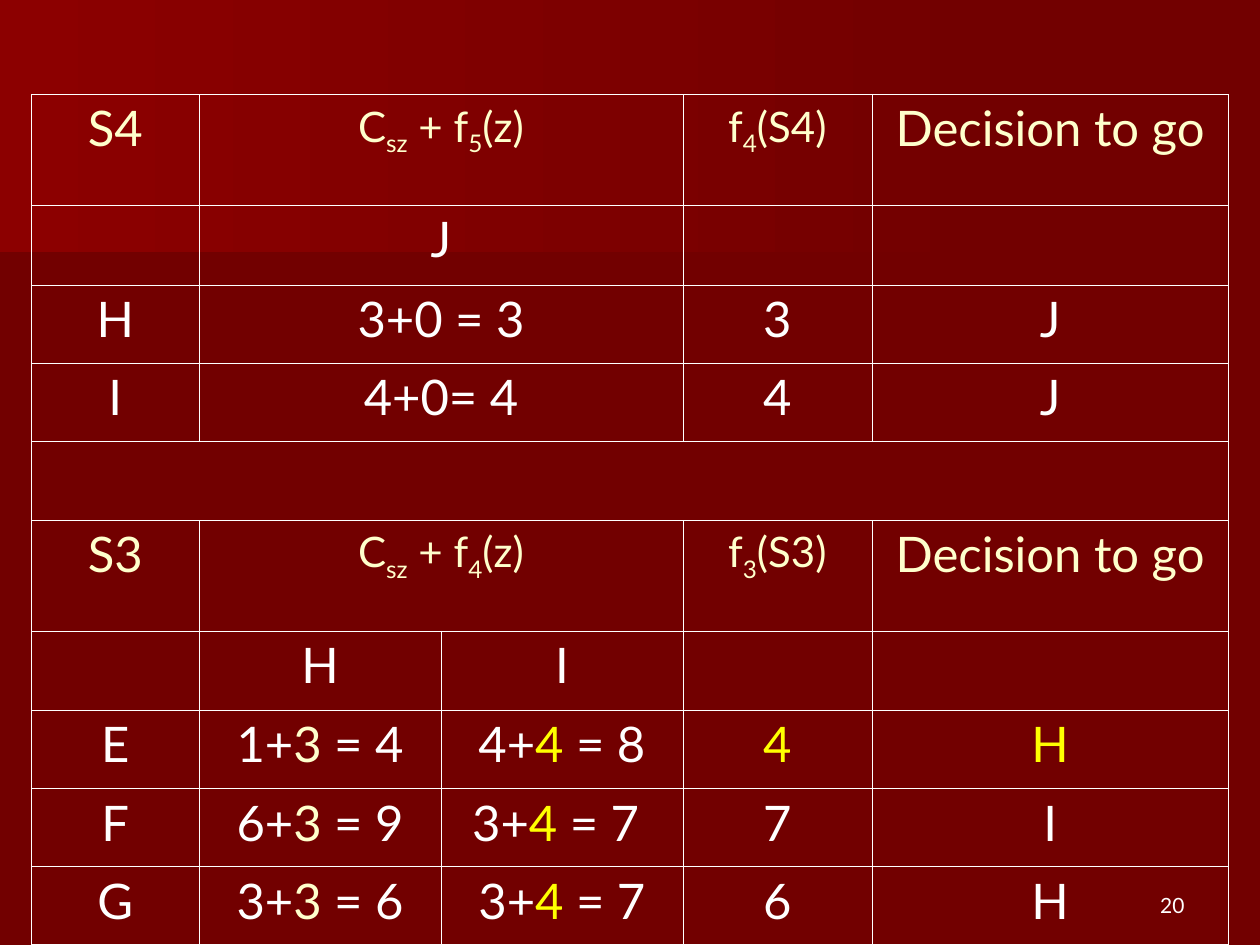
"""Builds a slide with the stage 4 and stage 3 tables of a dynamic programme."""
import dataclasses

import lxml.etree
import pptx
import pptx.dml.color
import pptx.enum.text
import pptx.oxml.ns
import pptx.util


@dataclasses.dataclass(frozen=True)
class Theme:
    """Colours, type sizes and line widths of the deck."""
    font: str = "Lato"
    ground: str = "720000"
    glow: str = "8C0000"
    shade: str = "6B0000"
    body: str = "FFFFFF"
    head: str = "FFFFCC"
    accent: str = "FFFF00"
    body_size: int = 28
    formula_size: int = 24
    number_size: int = 12
    outer_line: float = 0.5
    inner_line: float = 0.23


THEME = Theme()
WIDTH, HEIGHT = 10, 7.5
COLUMNS = [1.33, 1.92, 1.92, 1.5, 2.83]
HEAD_ROW, LABEL_ROW, VALUE_ROW = 0.88, 0.63, 0.62


def rgb(value):
    """Turn a hex string into a colour."""
    return pptx.dml.color.RGBColor.from_string(value)


def inches(*lengths):
    """Turn lengths in inches into slide units."""
    return [pptx.util.Inches(length) for length in lengths]


def add_text(para, text, color=THEME.body, size=THEME.body_size, lowered=False):
    """Add one formatted span to a paragraph."""
    span = para.add_run()
    span.text = text
    span.font.name = THEME.font
    span.font.size = pptx.util.Pt(size)
    span.font.color.rgb = rgb(color)
    if lowered:
        span.font._element.set("baseline", "-25000")


def plain(text, color=THEME.body):
    """Describe a cell with one span."""
    return [(text, {"color": color})]


def formula(*parts):
    """Describe a heading whose every second part is a subscript."""
    return [(part, {"color": THEME.head, "size": THEME.formula_size, "lowered": place % 2 == 1})
            for place, part in enumerate(parts)]


def total(cost, onward, result, color):
    """Describe a sum whose onward cost is coloured."""
    return plain(f"{cost}+") + plain(onward, color) + plain(f" = {result}")


def heading(stage):
    """Describe the heading row of a stage."""
    return [plain(f"S{stage}", THEME.head), formula("C", "sz", " + f", str(stage + 1), "(z)"), None,
            formula("f", str(stage), f"(S{stage})"), plain("Decision to go", THEME.head)]


def via_j(state, cost_sum, best):
    """Describe a stage 4 row, which always leads to J."""
    return [plain(state), plain(cost_sum), None, plain(best), plain("J")]


def via_h_or_i(state, h_sum, i_sum, best, choice, color=THEME.body):
    """Describe a stage 3 row, which leads to H or I."""
    return [plain(state), total(h_sum[0], "3", h_sum[1], THEME.head),
            total(i_sum[0], "4", i_sum[1], THEME.accent), plain(best, color), plain(choice, color)]


ROWS = [
    (HEAD_ROW, heading(4)),
    (LABEL_ROW, [[], plain("J"), None, [], []]),
    (VALUE_ROW, via_j("H", "3+0 = 3", "3")),
    (VALUE_ROW, via_j("I", "4+0= 4", "4")),
    (LABEL_ROW, [[], None, None, None, None]),
    (HEAD_ROW, heading(3)),
    (LABEL_ROW, [[], plain("H"), plain("I"), [], []]),
    (VALUE_ROW, via_h_or_i("E", ("1", "4"), ("4", "8"), "4", "H", THEME.accent)),
    (VALUE_ROW, via_h_or_i("F", ("6", "9"), ("3", "7 "), "7", "I")),
    (VALUE_ROW, via_h_or_i("G", ("3", "6"), ("3", "7"), "6", "H")),
]


def set_borders(cell, outer_sides):
    """Draw the four borders of a cell, heavier on the table's outer sides."""
    properties = cell._tc.get_or_add_tcPr()
    for side in "LRTB":
        points = THEME.outer_line if side in outer_sides else THEME.inner_line
        line = lxml.etree.SubElement(properties, pptx.oxml.ns.qn(f"a:ln{side}"),
                                     w=str(pptx.util.Pt(points)))
        solid = lxml.etree.SubElement(line, pptx.oxml.ns.qn("a:solidFill"))
        lxml.etree.SubElement(solid, pptx.oxml.ns.qn("a:srgbClr"), val=THEME.body)


def add_band(page, box, edge, start_color):
    """Fill a box down to a slanted lower edge, fading to the ground colour."""
    left, top, width, height = box
    corners = [(left + x * width, top + y * height) for x, y in [(1, edge), (0, 1), (0, 0), (1, 0)]]
    builder = page.shapes.build_freeform(*corners[0], scale=pptx.util.Inches(1))
    builder.add_line_segments(corners[1:], close=True)
    band = builder.convert_to_shape()
    band.shadow.inherit = False
    band.line.fill.background()
    band.fill.gradient()
    band.fill.gradient_angle = 0
    for stop, color in zip(band.fill.gradient_stops, (start_color, THEME.ground)):
        stop.color.rgb = rgb(color)


def add_page_number(page, box, text):
    """Place the page number at the lower right of a box."""
    frame = page.shapes.add_textbox(*inches(*box)).text_frame
    frame.word_wrap = True
    frame.vertical_anchor = pptx.enum.text.MSO_ANCHOR.BOTTOM
    para = frame.paragraphs[0]
    para.alignment = pptx.enum.text.PP_ALIGN.RIGHT
    add_text(para, text, size=THEME.number_size)


def add_stage_table(page, box):
    """Place the stages in a box, joining a cell with the None cells after it."""
    table = page.shapes.add_table(len(ROWS), len(COLUMNS), *inches(*box)).table
    table.first_row = table.horz_banding = False
    for column, width in zip(table.columns, COLUMNS):
        column.width = pptx.util.Inches(width)
    for row_index, (height, entries) in enumerate(ROWS):
        table.rows[row_index].height = pptx.util.Inches(height)
        for column_index, entry in enumerate(entries):
            cell = table.cell(row_index, column_index)
            last = column_index
            while entry is not None and last + 1 < len(entries) and entries[last + 1] is None:
                last += 1
            if last > column_index:
                cell.merge(table.cell(row_index, last))
            edges = {"L": column_index == 0, "R": last == len(COLUMNS) - 1,
                     "T": row_index == 0, "B": row_index == len(ROWS) - 1}
            set_borders(cell, [side for side, is_outer in edges.items() if is_outer])
            cell.fill.background()
            para = cell.text_frame.paragraphs[0]
            para.alignment = pptx.enum.text.PP_ALIGN.CENTER
            para.line_spacing = 0.98
            for text, style in entry or []:
                add_text(para, text, **style)


def main():
    """Build and save the deck."""
    deck = pptx.Presentation()
    deck.slide_width, deck.slide_height = inches(WIDTH, HEIGHT)
    page = deck.slides.add_slide(deck.slide_layouts[6])
    page.background.fill.solid()
    page.background.fill.fore_color.rgb = rgb(THEME.ground)
    add_band(page, (0, 1.01, 7.79, 1.15), 0.45, THEME.shade)
    add_band(page, (0, 0, 7.92, 2.08), 0.78, THEME.glow)
    add_page_number(page, (7.17, 6.83, 2.33, 0.5), "20")
    margin, top = WIDTH * 0.025, HEIGHT * 0.1
    add_stage_table(page, (margin, top, sum(COLUMNS), sum(height for height, _ in ROWS)))
    deck.save("out.pptx")


if __name__ == "__main__":
    main()
